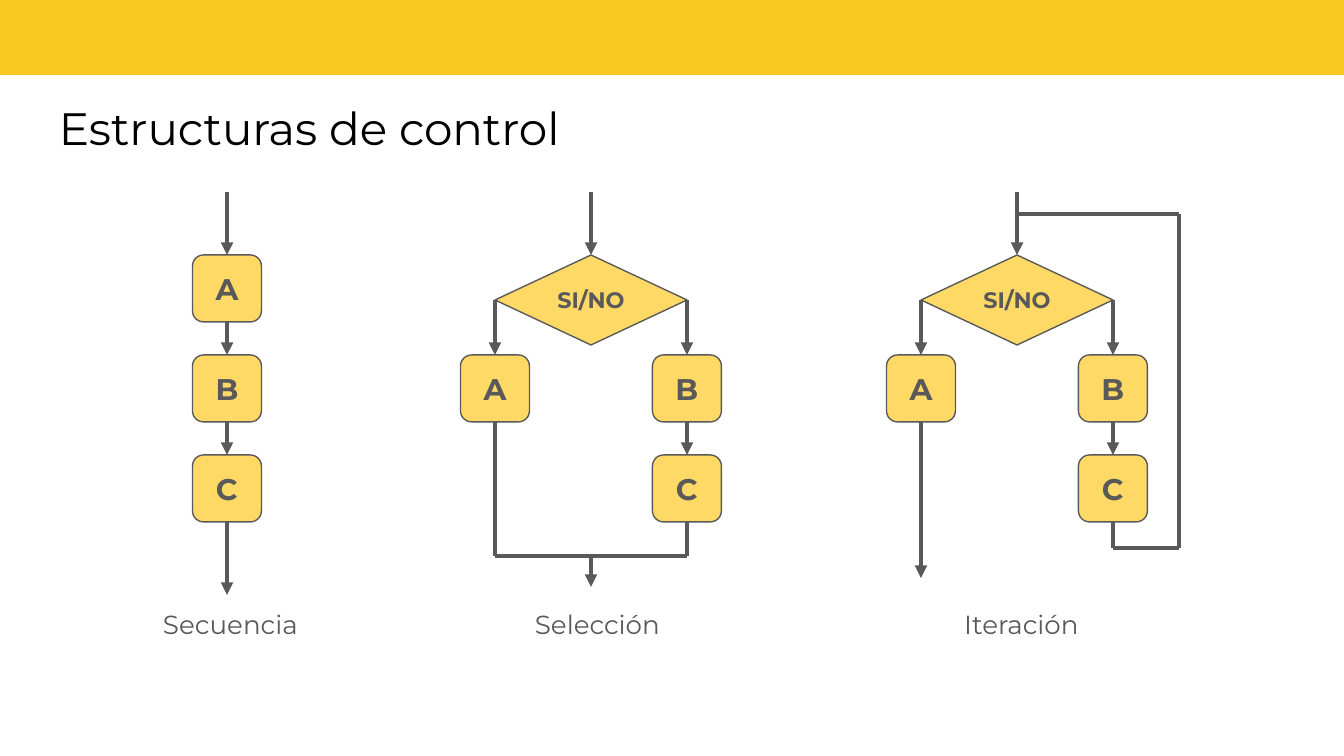
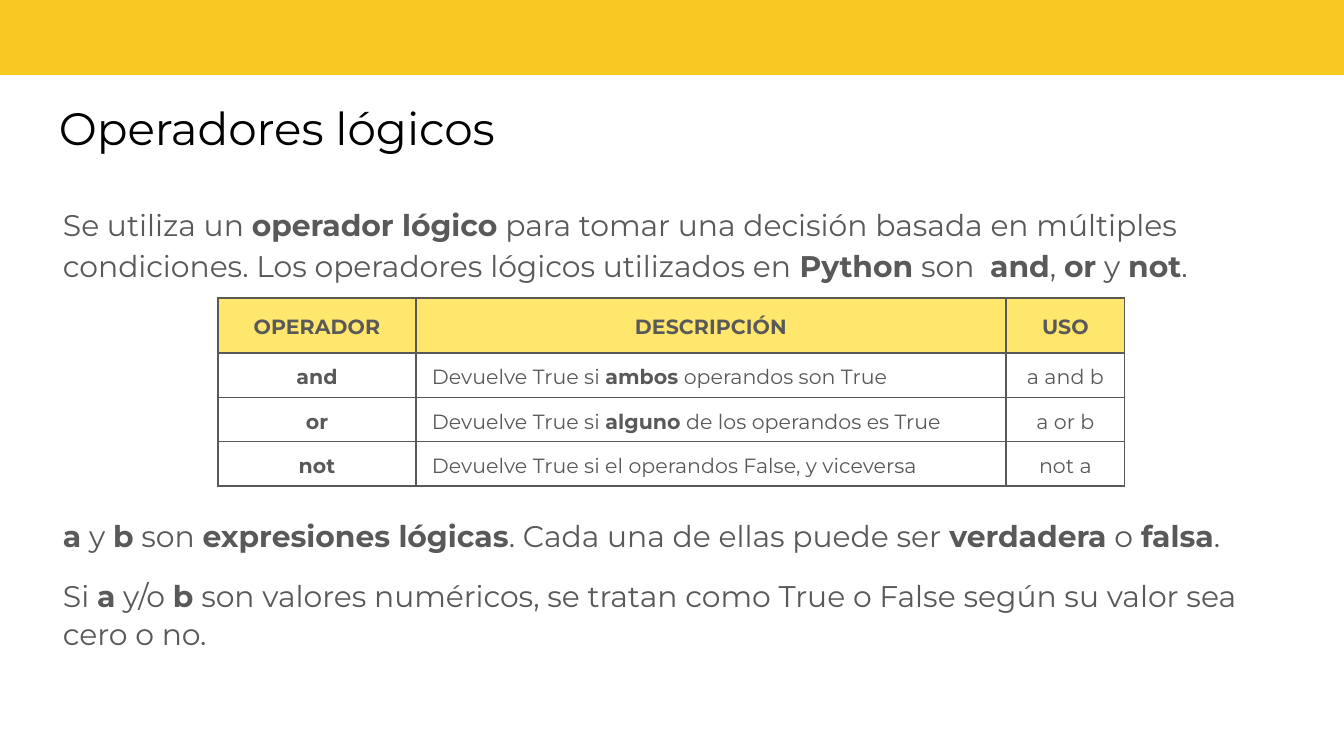
from lxml.etree import SubElement
from pptx import Presentation
from pptx.dml.color import RGBColor
from pptx.enum.shapes import MSO_CONNECTOR, MSO_SHAPE as SHAPE
from pptx.enum.text import MSO_ANCHOR as ANCHOR, MSO_AUTO_SIZE as FIT, PP_ALIGN as ALIGN
from pptx.oxml.ns import qn
from pptx.util import Emu, Pt

FONT = "Montserrat"
BLACK = RGBColor(0x00, 0x00, 0x00)
GREY = RGBColor(0x59, 0x59, 0x59)
WHITE = RGBColor(0xFF, 0xFF, 0xFF)
BAND = RGBColor(0xF8, 0xC8, 0x23)
NODE = RGBColor(0xFF, 0xD9, 0x66)
HEADER = RGBColor(0xFF, 0xE6, 0x6D)

SLIDE_W, SLIDE_H = 1344, 756
NODE_W, NODE_H = 69, 67
DIAMOND_W, DIAMOND_H = 192, 90
ENTRY, FIRST, STEP = 192, 255, 100
ROWS = [FIRST + STEP * index for index in range(3)]
ENDS = [top + NODE_H for top in ROWS]
MIDDLE = FIRST + DIAMOND_H // 2
BRANCH = DIAMOND_W // 2
LOOP, LOOP_TOP, LOOP_END = 162, 214, 548
JOIN = 556

ENTRY_ARROW = (0, ENTRY, 0, FIRST)
FORK_NODES = [("A", -BRANCH, 1), ("B", BRANCH, 1), ("C", BRANCH, 2)]
FORK_ARROWS = [
    ENTRY_ARROW,
    (-BRANCH, MIDDLE, -BRANCH, ROWS[1]),
    (BRANCH, MIDDLE, BRANCH, ROWS[1]),
    (BRANCH, ENDS[1], BRANCH, ROWS[2]),
]

DIAGRAMS = [
    dict(
        label="Secuencia", label_x=230, center=227, question=None,
        nodes=[("A", 0, 0), ("B", 0, 1), ("C", 0, 2)],
        arrows=[
            ENTRY_ARROW,
            (0, ENDS[0], 0, ROWS[1]),
            (0, ENDS[1], 0, ROWS[2]),
            (0, ENDS[2], 0, 595),
        ],
        lines=[],
    ),
    dict(
        label="Selección", label_x=597, center=591, question="SI/NO",
        nodes=FORK_NODES,
        arrows=FORK_ARROWS + [(0, JOIN, 0, 587)],
        lines=[
            (-BRANCH, ENDS[1], -BRANCH, JOIN),
            (BRANCH, ENDS[2], BRANCH, JOIN),
            (BRANCH, JOIN, -BRANCH, JOIN),
        ],
    ),
    dict(
        label="Iteración", label_x=1021, center=1017, question="SI/NO",
        nodes=FORK_NODES,
        arrows=FORK_ARROWS + [(-BRANCH, ENDS[1], -BRANCH, 578)],
        lines=[
            (BRANCH, ENDS[2], BRANCH, LOOP_END),
            (LOOP, LOOP_END, BRANCH, LOOP_END),
            (LOOP, LOOP_TOP, LOOP, LOOP_END),
            (LOOP, LOOP_TOP, 0, LOOP_TOP),
        ],
    ),
]

INTRO = [
    "Se utiliza un *operador lógico* para tomar una decisión basada en múltiples "
    "condiciones. Los operadores lógicos utilizados en *Python* son  *and*, *or* y *not*."
]
NOTES = [
    "*a* y *b* son *expresiones lógicas*. Cada una de ellas puede ser *verdadera* o *falsa*.",
    "Si *a* y/o *b* son valores numéricos, se tratan como True o False según su valor sea cero o no.",
]
OPERATORS = [
    ("*OPERADOR*", "*DESCRIPCIÓN*", "*USO*"),
    ("*and*", "Devuelve True si *ambos* operandos son True", "a and b"),
    ("*or*", "Devuelve True si *alguno* de los operandos es True", "a or b"),
    ("*not*", "Devuelve True si el operandos False, y viceversa", "not a"),
]
COLUMN_WIDTHS = [198, 590, 119]
ROW_HEIGHTS = [55, 43, 43, 43]


def px(value):
    return Emu(round(value * 914400 / 134.4))


def area(*values):
    return [px(value) for value in values]


def style(font, size, color=GREY, bold=False):
    font.name, font.size, font.bold = FONT, Pt(size), bold
    font.color.rgb = color


def write(para, text, size):
    for index, part in enumerate(text.split("*")):
        if part:
            span = para.add_run()
            span.text = part
            style(span.font, size, bold=index % 2 == 1)


def set_insets(target, side, top):
    target.margin_left = target.margin_right = px(side)
    target.margin_top = target.margin_bottom = px(top)


def add_band(page):
    band = page.shapes.add_shape(SHAPE.RECTANGLE, *area(-2, -7, 1348, 82))
    band.shadow.inherit = False
    band.fill.solid()
    band.fill.fore_color.rgb = BAND
    band.line.fill.background()
    page.slide_layout.shapes.element.insert(2, band.element)


def add_page(deck, title):
    page = deck.slides.add_slide(deck.slide_layouts[5])
    box = page.shapes.title
    box.left, box.top, box.width, box.height = area(46, 87, 1250, 85)
    frame = box.text_frame
    frame.text = title
    frame.auto_size = FIT.NONE
    frame.vertical_anchor = ANCHOR.TOP
    set_insets(frame, 13, 13)
    frame.paragraphs[0].alignment = ALIGN.LEFT
    style(frame.paragraphs[0].runs[0].font, 24.3, BLACK)
    return page


def add_node(page, kind, text, center, top, width, height, size, inset):
    node = page.shapes.add_shape(kind, *area(center - width / 2, top, width, height))
    node.shadow.inherit = False
    node.fill.solid()
    node.fill.fore_color.rgb = NODE
    node.line.color.rgb = GREY
    node.line.width = Pt(0.75)
    frame = node.text_frame
    frame.text = text
    frame.vertical_anchor = ANCHOR.MIDDLE
    set_insets(frame, 13, inset)
    frame.paragraphs[0].alignment = ALIGN.CENTER
    style(frame.paragraphs[0].runs[0].font, size, bold=True)


def add_line(page, center, points, arrow):
    x1, y1, x2, y2 = points
    line = page.shapes.add_connector(
        MSO_CONNECTOR.STRAIGHT, *area(center + x1, y1, center + x2, y2))
    line.line.color.rgb = GREY
    line.line.width = Pt(2.25)
    properties = line.element.spPr
    if arrow:
        SubElement(properties.find(qn("a:ln")), qn("a:tailEnd"), type="triangle")
    SubElement(properties, qn("a:effectLst"))


def add_diagram(page, diagram):
    center = diagram["center"]
    if diagram["question"]:
        add_node(page, SHAPE.FLOWCHART_DECISION, diagram["question"], center, FIRST,
                 DIAMOND_W, DIAMOND_H, 12, 13)
    for text, offset, row in diagram["nodes"]:
        add_node(page, SHAPE.FLOWCHART_ALTERNATE_PROCESS, text, center + offset, ROWS[row],
                 NODE_W, NODE_H, 16, 7)
    for kind in ("arrows", "lines"):
        for points in diagram[kind]:
            add_line(page, center, points, kind == "arrows")
    label = page.shapes.add_textbox(*area(diagram["label_x"] - 92, 595, 185, 59))
    frame = label.text_frame
    frame.text = diagram["label"]
    frame.word_wrap = True
    set_insets(frame, 13, 13)
    frame.paragraphs[0].alignment = ALIGN.CENTER
    style(frame.paragraphs[0].runs[0].font, 14)


def add_prose(page, texts, top, height, spacing):
    frame = page.shapes.add_textbox(*area(63, top, 1217, height)).text_frame
    frame.word_wrap = True
    set_insets(frame, 0, 13)
    for index, text in enumerate(texts):
        para = frame.add_paragraph() if index else frame.paragraphs[0]
        para.line_spacing = spacing
        if index:
            para.space_before = Pt(12)
        write(para, text, 16)


def add_borders(cell):
    properties = cell._tc.get_or_add_tcPr()
    for side in ("lnL", "lnR", "lnT", "lnB"):
        border = SubElement(properties, qn(f"a:{side}"), w=str(Pt(0.75)))
        fill = SubElement(border, qn("a:solidFill"))
        SubElement(fill, qn("a:srgbClr"), val=str(GREY))


def add_operators(page):
    table = page.shapes.add_table(
        len(OPERATORS), len(COLUMN_WIDTHS),
        *area(218, 298, sum(COLUMN_WIDTHS), sum(ROW_HEIGHTS))).table
    table.horz_banding = False
    for column, width in zip(table.columns, COLUMN_WIDTHS):
        column.width = px(width)
    for row, height in zip(table.rows, ROW_HEIGHTS):
        row.height = px(height)
    for y, texts in enumerate(OPERATORS):
        for x, text in enumerate(texts):
            cell = table.cell(y, x)
            add_borders(cell)
            cell.fill.solid()
            cell.fill.fore_color.rgb = WHITE if y else HEADER
            cell.vertical_anchor = ANCHOR.MIDDLE
            set_insets(cell, 16, 8)
            para = cell.text_frame.paragraphs[0]
            para.alignment = ALIGN.LEFT if y and x == 1 else ALIGN.CENTER
            para.line_spacing = 1.15
            write(para, text, 11)


def main():
    deck = Presentation()
    deck.slide_width, deck.slide_height = area(SLIDE_W, SLIDE_H)

    page = add_page(deck, "Estructuras de control")
    add_band(page)
    for diagram in DIAGRAMS:
        add_diagram(page, diagram)

    page = add_page(deck, "Operadores lógicos")
    add_prose(page, INTRO, 188, 481, 1.15)
    add_operators(page)
    add_prose(page, NOTES, 503, 167, 1.05)

    deck.save("out.pptx")


if __name__ == "__main__":
    main()
